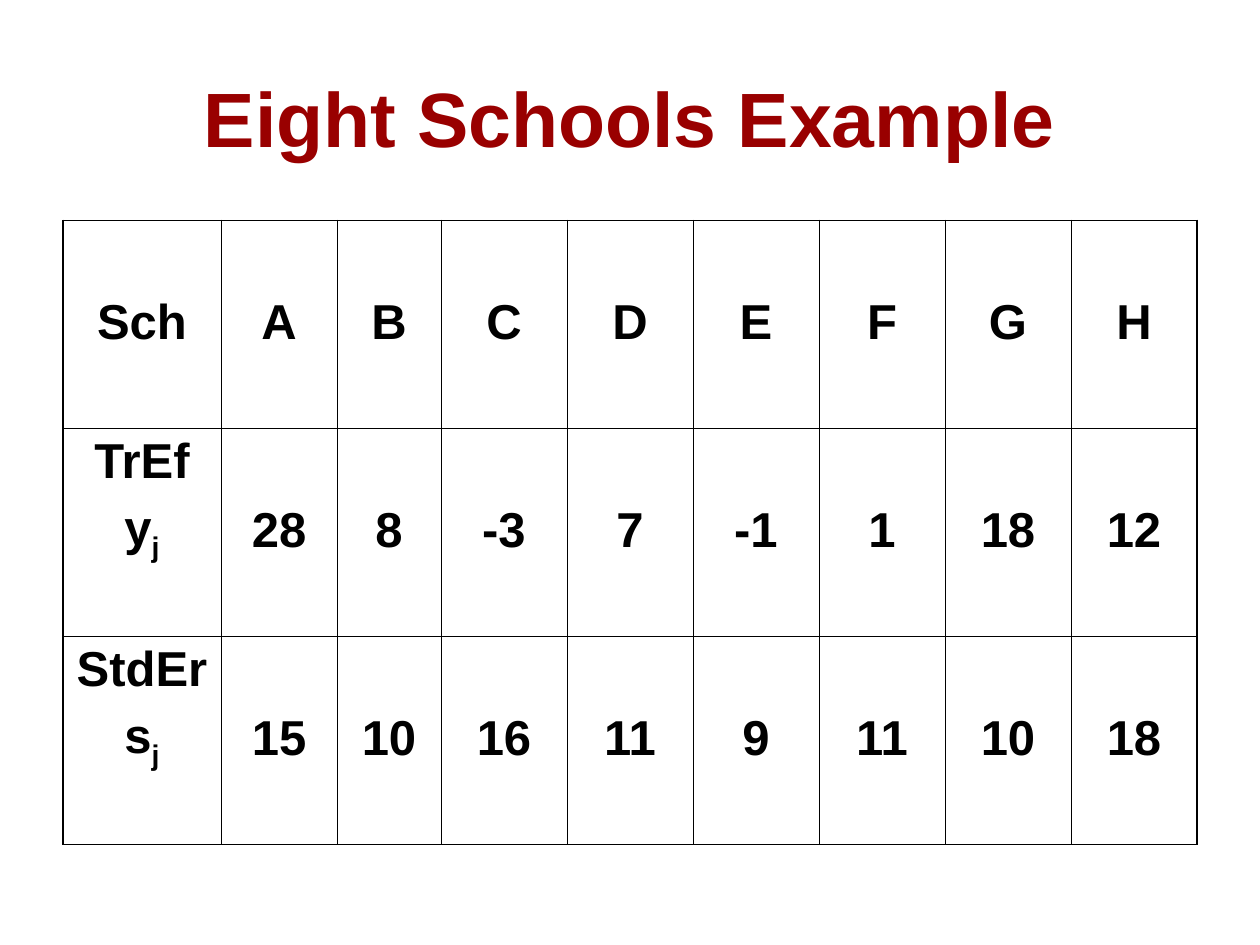
"""Builds the Eight Schools slide: a title above a table of effects and errors."""
import pptx
import pptx.dml.color
import pptx.enum.text
import pptx.oxml
import pptx.oxml.ns
import pptx.util

EMU_PER_PX = 914400 / 126
DARK_RED = pptx.dml.color.RGBColor(0x99, 0x00, 0x00)
BLACK = pptx.dml.color.RGBColor(0x00, 0x00, 0x00)
FONT = "Arial"
THIN, THICK = 0.45, 1.08
COLUMN_WIDTHS = [158, 116, 104] + [126] * 6
ROW_HEIGHT = 208
VALUE_TOP = 75
LABEL_TOP = 6
SCHOOLS = [
    ("Sch", *"ABCDEFGH"),
    (("TrEf", "y", "j"), 28, 8, -3, 7, -1, 1, 18, 12),
    (("StdEr", "s", "j"), 15, 10, 16, 11, 9, 11, 10, 18),
]


def px(length):
    return pptx.util.Emu(round(length * EMU_PER_PX))


def style(paragraph, size, color):
    paragraph.alignment = pptx.enum.text.PP_ALIGN.CENTER
    paragraph.font.name = FONT
    paragraph.font.size = pptx.util.Pt(size)
    paragraph.font.bold = True
    paragraph.font.color.rgb = color


def add_title(slide, text):
    title = slide.shapes.title
    title.left, title.top, title.width, title.height = px(63), px(38), px(1134), px(158)
    title.text_frame.vertical_anchor = pptx.enum.text.MSO_ANCHOR.MIDDLE
    title.text_frame.text = text
    style(title.text_frame.paragraphs[0], 44, DARK_RED)


def set_borders(cell, widths):
    properties = cell._tc.get_or_add_tcPr()
    for position, (side, width) in enumerate(zip("LRTB", widths)):
        line = pptx.oxml.parse_xml(
            f'<a:ln{side} {pptx.oxml.ns.nsdecls("a")} w="{pptx.util.Pt(width)}">'
            f'<a:solidFill><a:srgbClr val="{BLACK}"/></a:solidFill></a:ln{side}>'
        )
        properties.insert(position, line)


def fill_cell(cell, content):
    cell.fill.background()
    cell.margin_left = cell.margin_right = px(13)
    cell.margin_bottom = px(6)
    cell.vertical_anchor = pptx.enum.text.MSO_ANCHOR.TOP
    frame = cell.text_frame
    if isinstance(content, tuple):
        heading, symbol, subscript = content
        cell.margin_top = px(LABEL_TOP)
        frame.text = heading
        symbol_line = frame.add_paragraph()
        symbol_line.space_before = pptx.util.Pt(7)
        symbol_line.add_run().text = symbol
        index = symbol_line.add_run()
        index.text = subscript
        index._r.get_or_add_rPr().set("baseline", "-25000")
    else:
        cell.margin_top = px(VALUE_TOP)
        frame.text = str(content)
    for paragraph in frame.paragraphs:
        style(paragraph, 28, BLACK)


def add_schools_table(slide, rows):
    last_row, last_column = len(rows) - 1, len(COLUMN_WIDTHS) - 1
    table = slide.shapes.add_table(
        len(rows), len(COLUMN_WIDTHS), px(63), px(220.5),
        px(sum(COLUMN_WIDTHS)), px(ROW_HEIGHT * len(rows)),
    ).table
    table.first_row = table.horz_banding = False
    for column, width in zip(table.columns, COLUMN_WIDTHS):
        column.width = px(width)
    for r, contents in enumerate(rows):
        table.rows[r].height = px(ROW_HEIGHT)
        for c, content in enumerate(contents):
            fill_cell(table.cell(r, c), content)
            outer = (c == 0, c == last_column, r == 0, r == last_row)
            set_borders(table.cell(r, c), [THICK if edge else THIN for edge in outer])


def main():
    deck = pptx.Presentation()
    deck.slide_width, deck.slide_height = px(1260), px(945)
    slide = deck.slides.add_slide(deck.slide_layouts[5])
    add_title(slide, "Eight Schools Example")
    add_schools_table(slide, SCHOOLS)
    deck.save("out.pptx")


if __name__ == "__main__":
    main()
